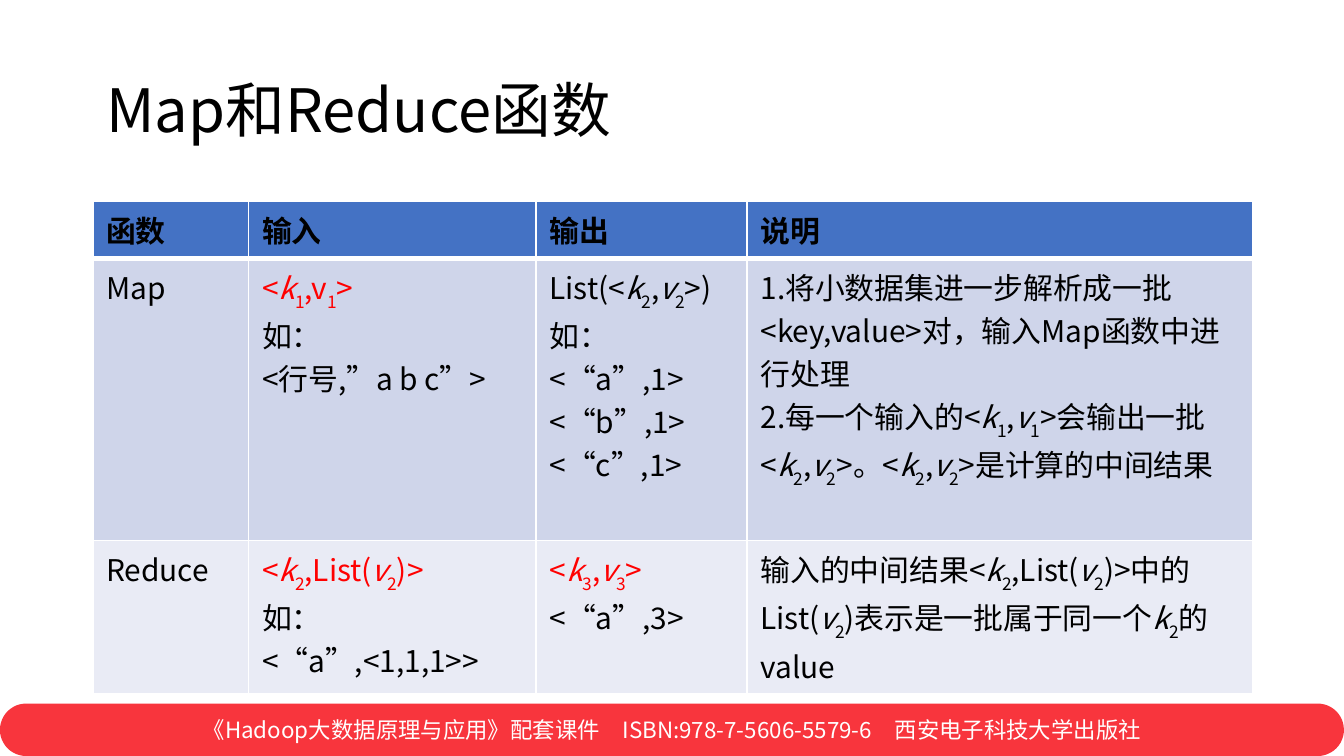
from typing import NamedTuple

from lxml import etree
from pptx import Presentation
from pptx.dml.color import RGBColor
from pptx.enum import shapes, text
from pptx.oxml import ns
from pptx.util import Inches, Pt

FONT = "Noto Sans CJK SC"
COLORS = {
    "text": "000000",
    "accent": "FF0000",
    "header": "4472C4",
    "map": "CFD5EA",
    "reduce": "E9EBF5",
    "footer": "F8353D",
    "white": "FFFFFF",
}
SLIDE_WIDTH = Inches(10)
SLIDE_HEIGHT = SLIDE_WIDTH * 9 // 16
COLUMN_WIDTHS = (1.16, 2.14, 1.57, 3.76)
ROW_HEIGHT = 0.41


class Line(NamedTuple):
    """One paragraph; braces mark a variable and its subscript, as in {k1}."""
    content: str
    color: str = "text"


class FunctionRow(NamedTuple):
    fill: str
    cells: tuple[tuple[Line, ...], ...]


ROWS = (
    FunctionRow("header", tuple((Line(name),) for name in ("函数", "输入", "输出", "说明"))),
    FunctionRow("map", (
        (Line("Map"),),
        (Line("<{k1},v{1}>", "accent"), Line("如："), Line("<行号,”a b c”>")),
        (Line("List(<{k2},{v2}>)"), Line("如："),
         Line("<“a”,1>"), Line("<“b”,1>"), Line("<“c”,1>")),
        (Line("1.将小数据集进一步解析成一批<key,value>对，输入Map函数中进行处理"),
         Line("2.每一个输入的<{k1},{v1}>会输出一批<{k2},{v2}>。<{k2},{v2}>是计算的中间结果")),
    )),
    FunctionRow("reduce", (
        (Line("Reduce"),),
        (Line("<{k2},List({v2})>", "accent"), Line("如：<“a”,<1,1,1>>")),
        (Line("<{k3},{v3}>", "accent"), Line("<“a”,3>")),
        (Line("输入的中间结果<{k2},List({v2})>中的List({v2})表示是一批属于同一个{k2}的value"),),
    )),
)


def rgb(name: str) -> RGBColor:
    return RGBColor.from_string(COLORS[name])


def style_paragraph(paragraph, size: float, color: str, bold: bool = False) -> None:
    font = paragraph.font
    font.name, font.size, font.bold = FONT, Pt(size), bold
    font.color.rgb = rgb(color)
    latin = paragraph._p.pPr.find(".//" + ns.qn("a:latin"))
    east_asian = etree.Element(ns.qn("a:ea"), typeface=FONT)
    latin.addnext(east_asian)


def add_runs(paragraph, content: str) -> None:
    """Write plain text, with italic variables and lowered subscripts."""
    for index, part in enumerate(content.replace("}", "{").split("{")):
        if index % 2 == 0:
            if part:
                paragraph.add_run().text = part
            continue
        for symbol in part:
            run = paragraph.add_run()
            run.text = symbol
            if symbol.isdigit():
                run.font._element.set("baseline", "-30000")
            else:
                run.font.italic = True


def set_border(cell, side: str, width: float) -> None:
    """Draw a white border ahead of the cell's fill, as the schema orders it."""
    properties = cell._tc.get_or_add_tcPr()
    border = etree.Element(ns.qn(f"a:{side}"), w=str(Pt(width)))
    fill = etree.SubElement(border, ns.qn("a:solidFill"))
    etree.SubElement(fill, ns.qn("a:srgbClr"), val=COLORS["white"])
    properties.find(ns.qn("a:solidFill")).addprevious(border)


def fill_cell(cell, lines: tuple[Line, ...], fill: str) -> None:
    cell.fill.solid()
    cell.fill.fore_color.rgb = rgb(fill)
    if fill == "header":
        for side, width in (("lnL", 1), ("lnR", 1), ("lnT", 1), ("lnB", 3)):
            set_border(cell, side, width)
    frame = cell.text_frame
    for index, line in enumerate(lines):
        paragraph = frame.add_paragraph() if index else frame.paragraphs[0]
        add_runs(paragraph, line.content)
        style_paragraph(paragraph, 16, line.color, bold=fill == "header")


def add_function_table(slide) -> None:
    table = slide.shapes.add_table(
        len(ROWS), len(COLUMN_WIDTHS), Inches(0.69), Inches(1.5),
        Inches(sum(COLUMN_WIDTHS)), Inches(ROW_HEIGHT * len(ROWS))).table
    for column, width in zip(table.columns, COLUMN_WIDTHS):
        column.width = Inches(width)
    for table_row, row in zip(table.rows, ROWS):
        for cell, lines in zip(table_row.cells, row.cells):
            fill_cell(cell, lines, row.fill)


def add_footer(slide) -> None:
    height = Inches(0.39)
    banner = slide.shapes.add_shape(
        shapes.MSO_SHAPE.ROUNDED_RECTANGLE,
        0, SLIDE_HEIGHT - height, SLIDE_WIDTH, height)
    banner.adjustments[0] = 0.5
    banner.shadow.inherit = False
    banner.fill.solid()
    banner.fill.fore_color.rgb = rgb("footer")
    banner.line.fill.background()
    banner.text_frame.vertical_anchor = text.MSO_ANCHOR.MIDDLE
    paragraph = banner.text_frame.paragraphs[0]
    paragraph.text = "《Hadoop大数据原理与应用》配套课件　ISBN:978-7-5606-5579-6　西安电子科技大学出版社"
    paragraph.alignment = text.PP_ALIGN.CENTER
    style_paragraph(paragraph, 12, "white")


def set_title(slide) -> None:
    title = slide.shapes.title
    title.left, title.top = Inches(0.69), Inches(0.3)
    title.width, title.height = Inches(8.62), Inches(1.09)
    title.text_frame.vertical_anchor = text.MSO_ANCHOR.MIDDLE
    paragraph = title.text_frame.paragraphs[0]
    paragraph.text = "Map和Reduce函数"
    paragraph.alignment = text.PP_ALIGN.LEFT
    paragraph.line_spacing = 0.9
    style_paragraph(paragraph, 32, "text")


def main() -> None:
    presentation = Presentation()
    presentation.slide_width, presentation.slide_height = SLIDE_WIDTH, SLIDE_HEIGHT
    slide = presentation.slides.add_slide(presentation.slide_layouts[5])
    add_footer(slide)
    set_title(slide)
    add_function_table(slide)
    presentation.save("out.pptx")


if __name__ == "__main__":
    main()
